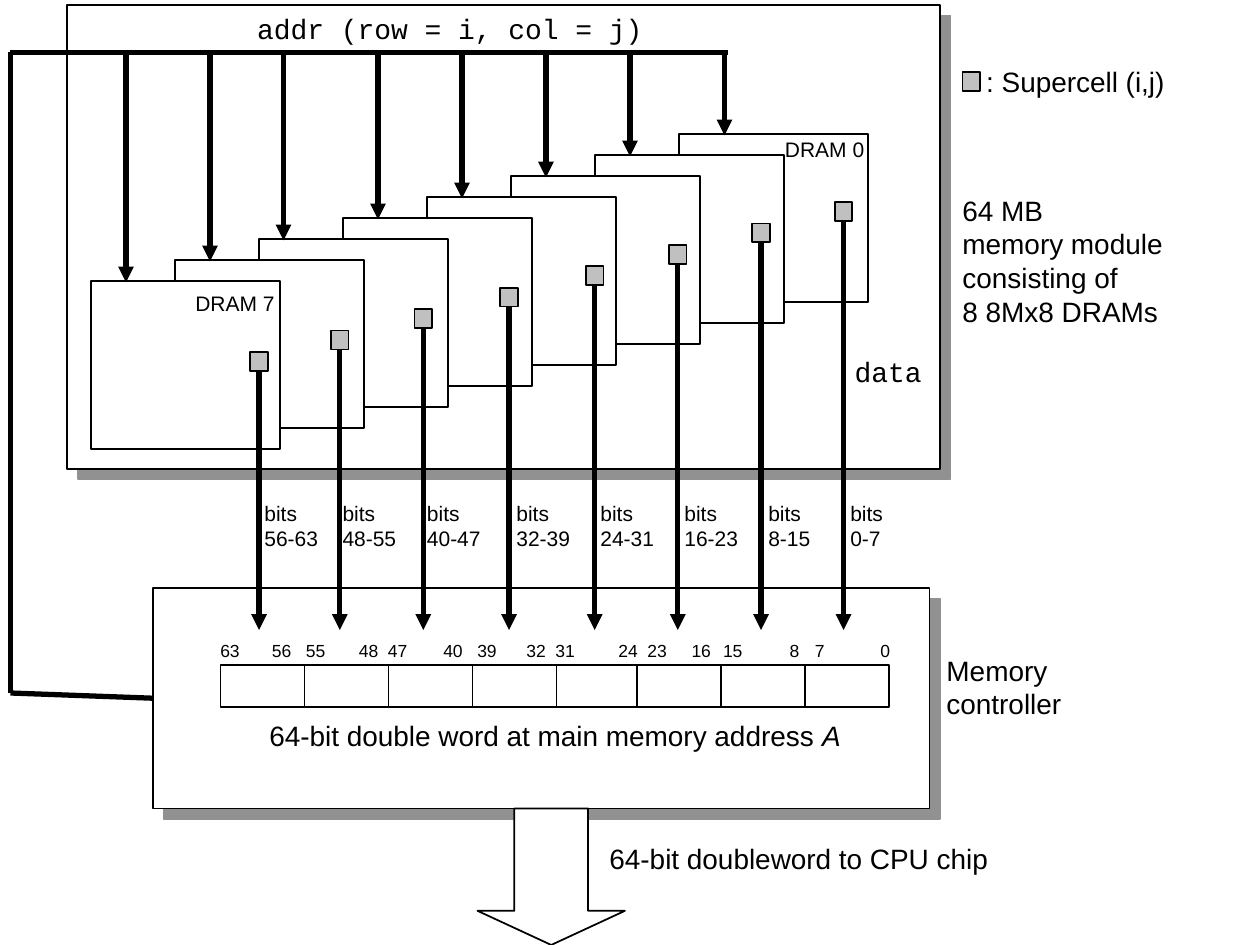
from dataclasses import dataclass

from lxml import etree
from pptx import Presentation, util as u
from pptx.dml.color import RGBColor
from pptx.enum import shapes, text
from pptx.oxml.ns import qn


@dataclass(frozen=True)
class Theme:
    ink: str = "000000"
    paper: str = "FFFFFF"
    cell: str = "C0C0C0"
    shadow: str = "919191"
    sans: str = "Arial"
    mono: str = "Courier New"
    body: int = 16
    label: int = 12
    tick: int = 10
    thin: int = 1
    thick: int = 3


class Diagram:
    """Draws on a grid of 60 columns by 45 rows."""
    COLS, ROWS = 60, 45

    def __init__(self, prs, theme):
        self.theme = theme
        self.s = prs.slides.add_slide(prs.slide_layouts[6])
        self.col = prs.slide_width / self.COLS
        self.row = prs.slide_height / self.ROWS

    def grid(self, *values):
        return [u.Emu(round(v * (self.row if n % 2 else self.col)))
                for n, v in enumerate(values)]

    def box(self, x, y, w, h, fill=None, kind=shapes.MSO_SHAPE.RECTANGLE, shadow=False):
        sp = self.s.shapes.add_shape(kind, *self.grid(x, y, w, h))
        sp.shadow.inherit = False
        sp.fill.solid()
        sp.fill.fore_color.rgb = RGBColor.from_string(fill or self.theme.paper)
        sp.line.color.rgb = RGBColor.from_string(self.theme.ink)
        sp.line.width = u.Pt(self.theme.thin)
        if shadow:
            effects = sp._element.spPr.find(qn("a:effectLst"))
            outer = etree.SubElement(effects, qn("a:outerShdw"), blurRad="0",
                                     dist=str(u.Pt(8.5)), dir="2700000",
                                     algn="ctr", rotWithShape="0")
            etree.SubElement(outer, qn("a:srgbClr"), val=self.theme.shadow)
        return sp

    def supercell(self, x, y):
        return self.box(x, y, 0.84, 0.9, self.theme.cell)

    def line(self, x1, y1, x2, y2, arrow=False):
        c = self.s.shapes.add_connector(shapes.MSO_CONNECTOR.STRAIGHT,
                                        *self.grid(x1, y1, x2, y2))
        c.line.color.rgb = RGBColor.from_string(self.theme.ink)
        c.line.width = u.Pt(self.theme.thick)
        if arrow:
            etree.SubElement(c.line._get_or_add_ln(), qn("a:tailEnd"), type="triangle")
        etree.SubElement(c._element.spPr, qn("a:effectLst"))
        return c

    def text(self, x, y, w, h, *lines, size=None, font=None, center=False):
        """Each line is a string or a list of (words, italic) runs."""
        sp = self.s.shapes.add_textbox(*self.grid(x, y, w, h))
        tf = sp.text_frame
        tf.word_wrap = False
        tf.auto_size = text.MSO_AUTO_SIZE.SHAPE_TO_FIT_TEXT
        tf.vertical_anchor = text.MSO_ANCHOR.MIDDLE
        tf.margin_left = u.Inches(0 if center else 0.1)
        tf.margin_right = 0
        for n, runs in enumerate(lines):
            p = tf.add_paragraph() if n else tf.paragraphs[0]
            p.alignment = text.PP_ALIGN.CENTER if center else text.PP_ALIGN.LEFT
            for words, italic in ([(runs, False)] if isinstance(runs, str) else runs):
                r = p.add_run()
                r.text = words
                r.font.name = font or self.theme.sans
                r.font.size = u.Pt(size or self.theme.body)
                r.font.italic = italic
                r.font.color.rgb = RGBColor.from_string(self.theme.ink)
        return sp


# Columns for DRAM 0 to DRAM 7
ADDR_COLS = [34.5, 30, 26, 22, 18, 13.5, 10, 6]
CELL_COLS = [39.75, 35.82, 31.86, 27.9, 23.82, 19.74, 15.76, 11.92]
BITS_COLS = [39.9, 36, 32, 28, 24, 19.74, 15.72, 12]
HIGH_COLS = [38.22, 33.84, 30.24, 25.86, 22.14, 17.88, 13.98, 9.9]
LOW_COLS = [41.34, 37.02, 32.34, 28.86, 24.48, 20.52, 16.5, 12.36]
BUS_X, BUS_Y = 0.5, 2.5
CHIP_Y = 6.37


def main():
    prs = Presentation()
    prs.slide_width, prs.slide_height = u.Inches(10), u.Inches(7.5)
    t = Theme()
    d = Diagram(prs, t)

    # Memory module, controller and the staggered chips
    d.box(3.2, 0.24, 41.56, 22.08, shadow=True)
    controller = d.box(7.28, 28, 36.98, 10.5, shadow=True)
    for k in range(8):
        d.box(32.34 - 4 * k, CHIP_Y + k, 9, 8)

    # Register of eight bytes
    for start in (26.34, 10.5):
        for n in range(4):
            d.box(start + 4 * n, 31.68, 4, 2)
    d.text(12.24, 33.9, 28.38, 2.22,
           [("64-bit double word at main memory address ", False), ("A", True)], center=True)

    # Address bus from the controller
    corner_y = 33
    d.line(BUS_X, BUS_Y, 34.68, BUS_Y)
    feed = d.line(7.28, corner_y, BUS_X, corner_y)
    feed.begin_connect(controller, 1)
    d.line(BUS_X, corner_y, BUS_X, BUS_Y)
    d.text(11.64, 0.24, 19.56, 2.22, "addr (row = i, col = j)", font=t.mono, center=True)

    # Address arrow, supercell, data arrow and bit numbers of each chip
    for k in range(8):
        low, high = 8 * k, 8 * k + 7
        d.line(ADDR_COLS[k], BUS_Y, ADDR_COLS[k], CHIP_Y + k + 0.08, arrow=True)
        x, y = CELL_COLS[k], 9.62 + 1.02 * k
        cell = d.supercell(x, y)
        data = d.line(x + 0.42, y + 0.9, x + 0.42, 30, arrow=True)
        data.begin_connect(cell, 2)
        d.text(BITS_COLS[k], 23.52, 3.72 if k > 1 else 3.18, 3,
               "bits", f"{low}-{high}", size=t.label)
        for bit, left in ((high, HIGH_COLS[k]), (low, LOW_COLS[k])):
            d.text(left, 30.18, 2.1 if bit > 9 else 1.62, 1.62,
                   str(bit), size=t.tick, center=True)

    # Chip names and data label
    for name, x, y in (("DRAM 7", 8.7, 13.53), ("DRAM 0", 36.78, 6.18)):
        d.text(x, y, 4.98, 1.8, name, size=t.label, center=True)
    d.text(40.1, 16.56, 4.38, 2.22, "data", font=t.mono, center=True)

    # Legend and side notes
    d.s.shapes.add_group_shape([
        d.supercell(45.84, 3.42),
        d.text(46.38, 2.76, 9.66, 2.22, ": Supercell (i,j)", center=True)])
    d.text(45.24, 8.9, 10.74, 7.02,
           "64 MB", "memory module", "consisting of", "8 8Mx8 DRAMs")
    d.text(44.48, 30.78, 6.66, 3.84, "Memory", "controller")

    # Output to the CPU
    arrow = d.box(22.74, 38.5, 7.02, 6.5, kind=shapes.MSO_SHAPE.DOWN_ARROW)
    arrow.adjustments[0], arrow.adjustments[1] = 0.5, 0.25
    d.text(28.44, 39.78, 19.2, 2.22, "64-bit doubleword to CPU chip", center=True)

    prs.save("out.pptx")


if __name__ == "__main__":
    main()
